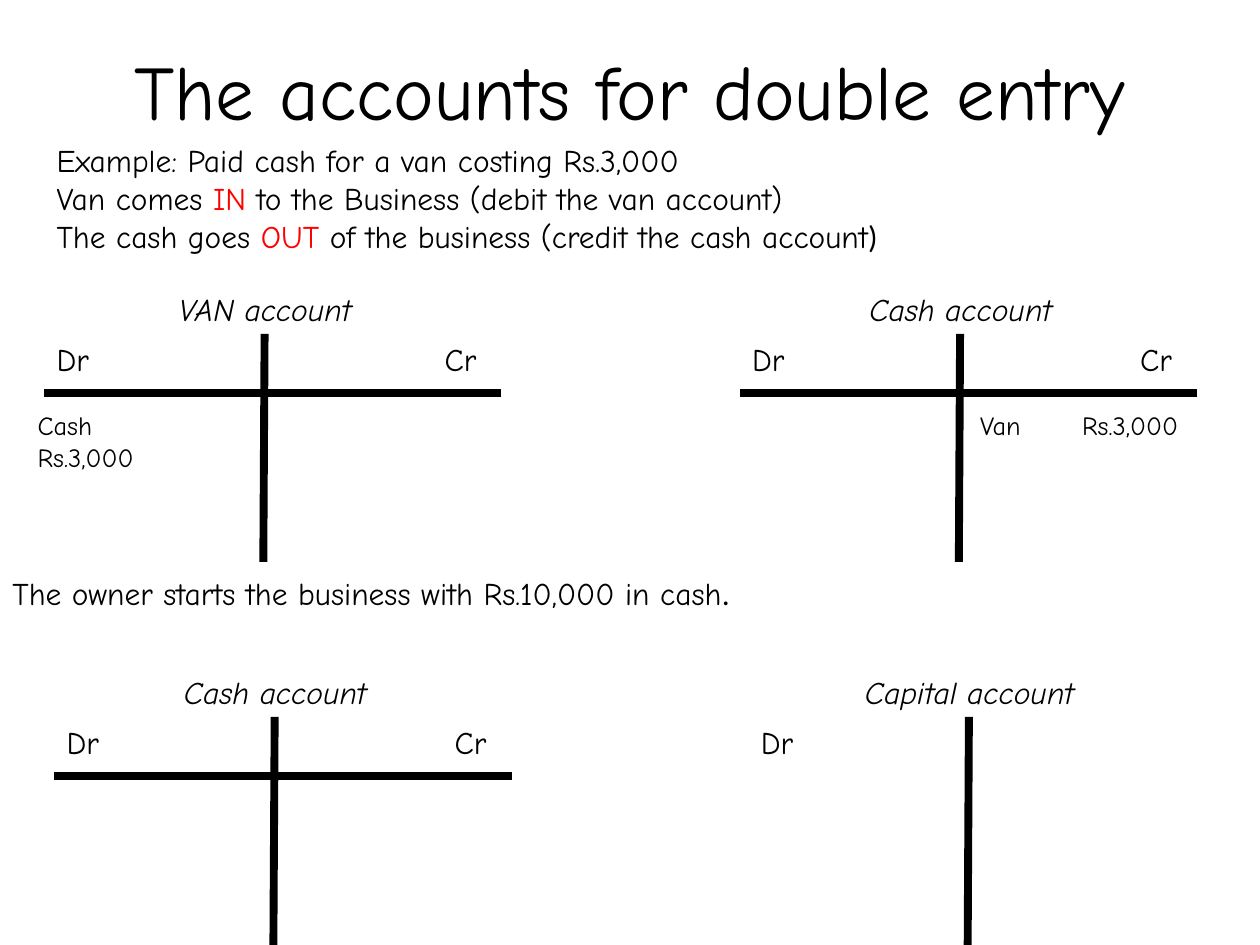
from dataclasses import dataclass

from lxml.etree import SubElement
from pptx import Presentation
from pptx.dml.color import RGBColor
from pptx.enum.shapes import MSO_CONNECTOR
from pptx.enum.text import MSO_ANCHOR, PP_ALIGN
from pptx.oxml.ns import qn
from pptx.util import Inches, Pt


@dataclass(frozen=True)
class Theme:
    font: str = "Comic Neue"
    plain_font: str = "Calibri"
    ink: RGBColor = RGBColor(0, 0, 0)
    accent: RGBColor = RGBColor(255, 0, 0)
    title: int = 44
    body: int = 18
    entry: int = 15
    rule: float = 4.5


class Deck:
    def __init__(self, slide, theme):
        self.s = slide
        self.theme = theme

    def text(self, x, y, w, h, *paragraphs, size=None, align=PP_ALIGN.LEFT,
             italic=None, tab=None):
        sp = self.s.shapes.add_textbox(Inches(x), Inches(y), Inches(w), Inches(h))
        tf = sp.text_frame
        tf.word_wrap = True
        tf.vertical_anchor = MSO_ANCHOR.TOP
        for i, runs in enumerate(paragraphs):
            p = tf.add_paragraph() if i else tf.paragraphs[0]
            p.alignment = align
            if tab:
                self.tab_stop(p, tab)
            p.font.name = self.theme.font
            p.font.size = Pt(size or self.theme.body)
            p.font.italic = italic
            p.font.color.rgb = self.theme.ink
            for run in [runs] if isinstance(runs, str) else runs:
                self.run(p, run)

    def run(self, p, run):
        content, style = (run, None) if isinstance(run, str) else run
        r = p.add_run()
        r.text = content
        if style == "accent":
            r.font.color.rgb = self.theme.accent
        elif style == "plain":
            r.font.name = self.theme.plain_font

    def tab_stop(self, p, position):
        tabs = SubElement(p._p.get_or_add_pPr(), qn("a:tabLst"))
        SubElement(tabs, qn("a:tab"), pos=str(Inches(position)), algn="l")

    def line(self, x1, y1, x2, y2):
        c = self.s.shapes.add_connector(
            MSO_CONNECTOR.STRAIGHT, Inches(x1), Inches(y1), Inches(x2), Inches(y2))
        c.line.color.rgb = self.theme.ink
        c.line.width = Pt(self.theme.rule)
        SubElement(c._element.spPr, qn("a:effectLst"))

    def account(self, x, y, name, complete=True):
        self.line(x + 1.75, y, x + 1.74, y + 1.81)
        self.text(x, y, 0.55, 0.4, "Dr")
        self.text(x + 0.08, y - 0.4, 3.35, 0.4, name,
                  align=PP_ALIGN.CENTER, italic=True)
        if complete:
            self.line(x, y + 0.47, x + 3.63, y + 0.47)
            self.text(x + 3.08, y, 0.55, 0.4, "Cr")


def main():
    prs = Presentation()
    prs.slide_width, prs.slide_height = Inches(10), Inches(7.5)
    theme = Theme()
    deck = Deck(prs.slides.add_slide(prs.slide_layouts[6]), theme)

    deck.text(0.5, 0.3, 9, 1.25, "The accounts for double entry",
              size=theme.title, align=PP_ALIGN.CENTER)
    deck.text(
        0.35, 1.07, 8.11, 1,
        "Example: Paid cash for a van costing Rs.3,000",
        ["Van comes ", ("IN", "accent"), " to the Business (debit the van account)"],
        ["The cash goes ", ("OUT", "accent"),
         " of the business (credit the cash account", (")", "plain")],
    )

    deck.account(0.35, 2.65, "VAN account")
    deck.account(5.87, 2.65, "Cash account")
    deck.text(0.2, 3.2, 1.89, 0.6, "Cash", "Rs.3,000", size=theme.entry)
    deck.text(7.68, 3.2, 1.89, 0.35, "Van\tRs.3,000", size=theme.entry, tab=0.81)

    deck.text(0, 4.51, 9.73, 0.4,
              ["The owner starts the business with Rs.10,000 in cash", (".", "plain")])
    deck.account(0.43, 5.69, "Cash account")
    deck.account(5.94, 5.69, "Capital account", complete=False)

    prs.save("out.pptx")


if __name__ == "__main__":
    main()
